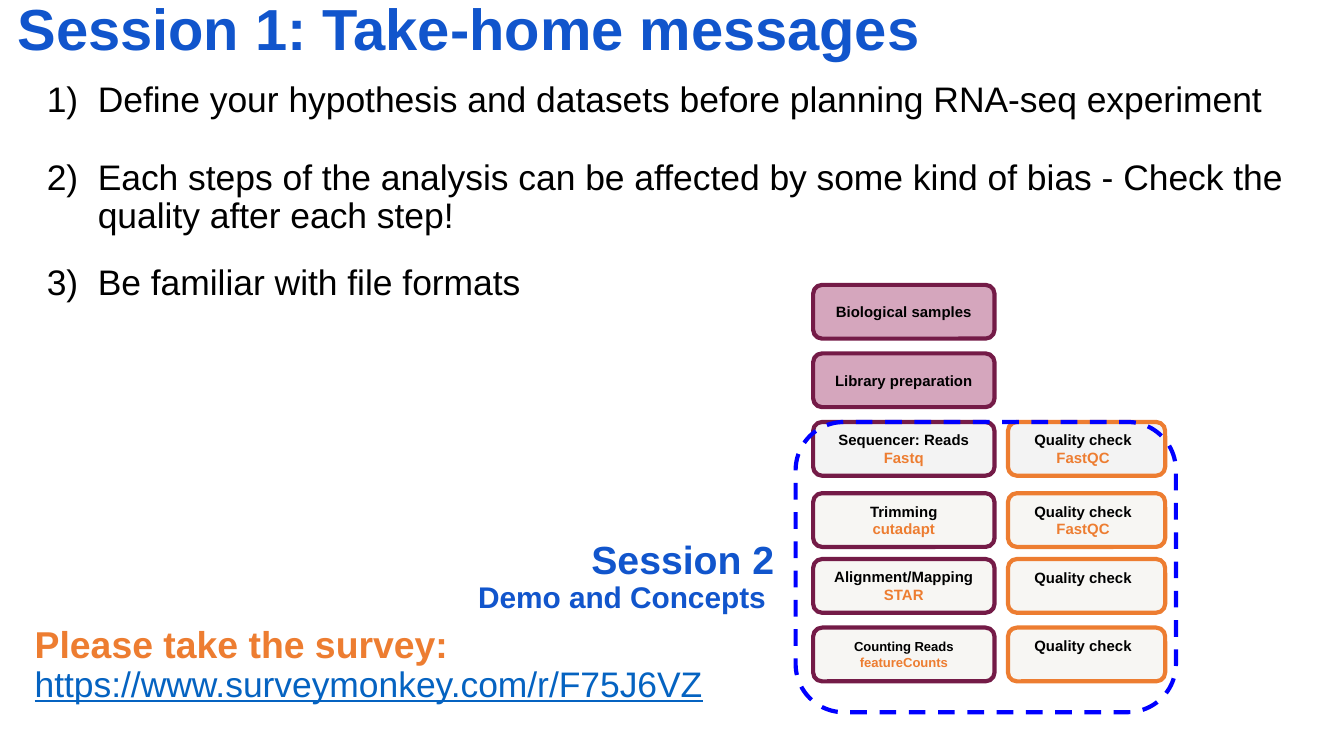
from lxml.etree import SubElement
from pptx import Presentation
from pptx.dml.color import RGBColor
from pptx.enum.dml import MSO_LINE
from pptx.enum.shapes import MSO_SHAPE
from pptx.enum.text import MSO_ANCHOR, PP_ALIGN
from pptx.oxml.ns import qn
from pptx.util import Inches, Pt

BLACK = RGBColor(0x00, 0x00, 0x00)
BLUE = RGBColor(0x11, 0x55, 0xCC)
LINK_BLUE = RGBColor(0x05, 0x63, 0xC1)
FRAME_BLUE = RGBColor(0x00, 0x00, 0xFF)
ORANGE = RGBColor(0xED, 0x7D, 0x31)
PLUM = RGBColor(0x74, 0x1B, 0x47)
PINK = RGBColor(0xD5, 0xA6, 0xBD)
GREY = RGBColor(0xF3, 0xF3, 0xF3)
CREAM = RGBColor(0xF7, 0xF6, 0xF3)

# Widescreen deck, 16:9
deck = Presentation()
deck.slide_width = Inches(10)
deck.slide_height = Inches(10) * 9 // 16
page = deck.slides.add_slide(deck.slide_layouts[6])


def write(box, lines, align=PP_ALIGN.LEFT, spacing=0.9, inset=0.1):
    """Fill a box with one paragraph per (text, size, colour, bold)."""
    frame = box.text_frame
    frame.word_wrap = True
    frame.margin_left = frame.margin_right = Inches(inset)
    frame.margin_top = frame.margin_bottom = Inches(inset)
    frame.text = "\n".join(line[0] for line in lines)
    for para, (text, size, colour, bold) in zip(frame.paragraphs, lines):
        para.alignment = align
        para.line_spacing = spacing
        font = para.runs[0].font
        font.name = "Arial"
        font.size = Pt(size)
        font.bold = bold
        font.color.rgb = colour
    return frame


def add_round_box(left, top, width, height, fill, line):
    box = page.shapes.add_shape(MSO_SHAPE.ROUNDED_RECTANGLE, Inches(left),
                                Inches(top), Inches(width), Inches(height))
    box.shadow.inherit = False
    if fill is None:
        box.fill.background()
    else:
        box.fill.solid()
        box.fill.fore_color.rgb = fill
    box.line.color.rgb = line
    box.line.width = Pt(2.25)
    return box


# Title
title = page.shapes.add_textbox(Inches(0.13), 0, Inches(8.62), Inches(0.81))
write(title, [("Session 1: Take-home messages", 31, BLUE, True)], inset=0)

# Numbered messages
messages = [
    ("Define your hypothesis and datasets before planning RNA-seq experiment", 0),
    ("Each steps of the analysis can be affected by some kind of bias - "
     "Check the quality after each step!", 21),
    ("Be familiar with file formats", 15.5),
]
message_box = page.shapes.add_textbox(Inches(0.13), Inches(0.51),
                                      Inches(9.54), Inches(2.16))
frame = write(message_box, [(text, 19, BLACK, False) for text, gap in messages])
for para, (text, gap) in zip(frame.paragraphs, messages):
    if gap:
        para.space_before = Pt(gap)
    properties = para._p.get_or_add_pPr()
    properties.set("marL", str(Inches(0.5)))
    properties.set("indent", str(Inches(-0.38)))
    bullet_colour = SubElement(properties, qn("a:buClr"))
    SubElement(bullet_colour, qn("a:srgbClr"), val=str(BLACK))
    SubElement(properties, qn("a:buAutoNum"), type="arabicParenR")

# Session 2 label
session = page.shapes.add_textbox(Inches(2.58), Inches(3.92),
                                  Inches(3.28), Inches(0.76))
write(session, [("Session 2", 21, BLUE, True),
                ("Demo and Concepts ", 16, BLUE, True)], PP_ALIGN.RIGHT)

# Workflow: top, step, step tool, text size, fill, has quality check, check tool
steps = [
    (2.12, "Biological samples", None, 8, PINK, False, None),
    (2.63, "Library preparation", None, 8, PINK, False, None),
    (3.14, "Sequencer: Reads", "Fastq", 8, GREY, True, "FastQC"),
    (3.67, "Trimming", "cutadapt", 8, CREAM, True, "FastQC"),
    (4.16, "Alignment/Mapping", "STAR", 8, CREAM, True, None),
    (4.67, "Counting Reads", "featureCounts", 7, CREAM, True, None),
]
for top, step, tool, size, fill, checked, check_tool in steps:
    cells = [(6.05, 1.35, PLUM, step, tool, size)]
    if checked:
        cells.append((7.5, 1.17, ORANGE, "Quality check", check_tool, 8))
    for left, width, line, label, name, text_size in cells:
        box = add_round_box(left, top, width, 0.4, fill, line)
        lines = [(label, text_size, BLACK, True)]
        if name:
            lines.append((name, text_size, ORANGE, True))
        frame = write(box, lines, PP_ALIGN.CENTER, spacing=1.0)
        frame.vertical_anchor = MSO_ANCHOR.MIDDLE
        if line == ORANGE:
            frame.margin_right = Inches(0.15)
            if not name:  # keep the label on the upper line
                frame.margin_bottom = Inches(0.23)

# Dashed frame around the steps of session 2
session_frame = add_round_box(5.92, 3.14, 2.83, 2.16, None, FRAME_BLUE)
session_frame.line.dash_style = MSO_LINE.DASH

# Survey
survey = page.shapes.add_textbox(Inches(0.16), Inches(4.56),
                                 Inches(5.54), Inches(1.08))
frame = write(survey, [
    ("Please take the survey:", 20, ORANGE, True),
    ("https://www.surveymonkey.com/r/F75J6VZ", 19, LINK_BLUE, False)])
frame.paragraphs[1].runs[0].font.underline = True

deck.save("out.pptx")
